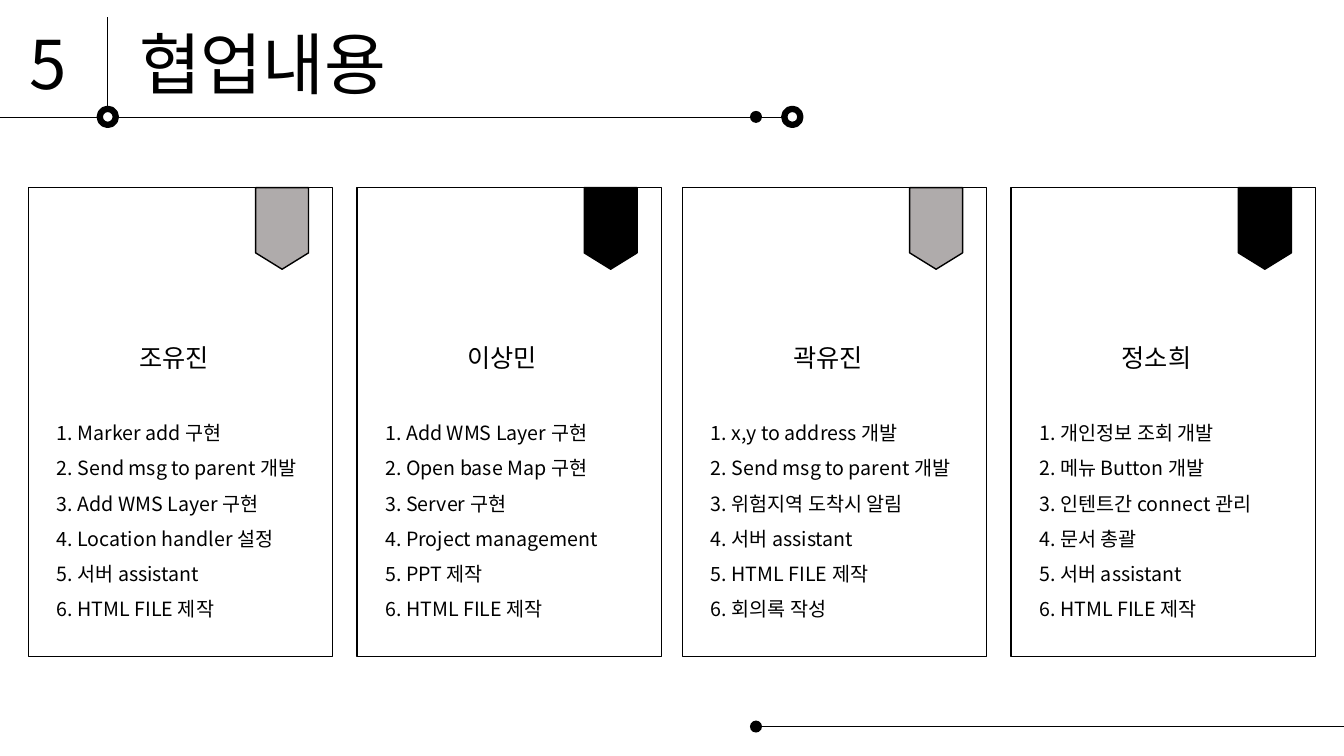
import lxml.etree
import pptx
import pptx.dml.color
import pptx.enum.shapes
import pptx.enum.text
import pptx.oxml.ns
import pptx.util

Pt = pptx.util.Pt
Kind = pptx.enum.shapes.MSO_SHAPE
Align = pptx.enum.text.PP_ALIGN
qn = pptx.oxml.ns.qn

BLACK, WHITE, GREY = "000000", "FFFFFF", "AFABAB"
CARD_TOP, CARD_WIDTH, CARD_HEIGHT = 134, 217.5, 335
HEADER_Y, FOOTER_Y = 83.5, 519
DOT_X, NUMBER_X, END_X = 540, 77, 566

CARDS = [
    (20.2, GREY, "조유진", [
        "Marker add 구현", "Send msg to parent 개발", "Add WMS Layer 구현",
        "Location handler 설정", "서버 assistant", "HTML FILE 제작"]),
    (254.9, BLACK, "이상민", [
        "Add WMS Layer 구현", "Open base Map 구현", "Server 구현",
        "Project management", "PPT 제작", "HTML FILE 제작"]),
    (487.4, GREY, "곽유진", [
        "x,y to address 개발", "Send msg to parent 개발", "위험지역 도착시 알림",
        "서버 assistant", "HTML FILE 제작", "회의록 작성"]),
    (722.2, BLACK, "정소희", [
        "개인정보 조회 개발", "메뉴 Button 개발", "인텐트간 connect 관리",
        "문서 총괄", "서버 assistant", "HTML FILE 제작"]),
]


def color(value):
    return pptx.dml.color.RGBColor.from_string(value)


class Painter:
    """Draws styled elements on the current page."""

    font = "Noto Sans CJK KR"

    def __init__(self, page):
        self.page = page

    def line(self, x1, y1, x2, y2):
        rule = self.page.shapes.add_connector(
            pptx.enum.shapes.MSO_CONNECTOR.STRAIGHT, Pt(x1), Pt(y1), Pt(x2), Pt(y2))
        rule.line.color.rgb = color(BLACK)
        rule.line.width = Pt(0.5)
        lxml.etree.SubElement(rule._element.spPr, qn("a:effectLst"))

    def shape(self, kind, left, top, width, height, fill, weight=1):
        figure = self.page.shapes.add_shape(kind, Pt(left), Pt(top), Pt(width), Pt(height))
        figure.shadow.inherit = False
        figure.fill.solid()
        figure.fill.fore_color.rgb = color(fill)
        if weight:
            figure.line.color.rgb = color(BLACK)
            figure.line.width = Pt(weight)
        else:
            figure.line.fill.background()

    def circle(self, x, y, diameter, fill, weight):
        self.shape(Kind.OVAL, x - diameter / 2, y - diameter / 2, diameter, diameter, fill, weight)

    def dot(self, x, y):
        self.circle(x, y, 8.6, BLACK, 0)

    def ring(self, x, y):
        self.circle(x, y, 11.5, WHITE, 4.5)

    def text(self, left, top, width, height, lines, size, wrap=True,
             align=Align.LEFT, spacing=1.0, holder=None):
        area = Pt(left), Pt(top), Pt(width), Pt(height)
        if holder is None:
            box = self.page.shapes.add_textbox(*area)
        else:
            box = holder
            box.left, box.top, box.width, box.height = area
            self.page.shapes._spTree.append(box._element)
        frame = box.text_frame
        frame.word_wrap = wrap
        frame.auto_size = pptx.enum.text.MSO_AUTO_SIZE.NONE
        frame.vertical_anchor = pptx.enum.text.MSO_ANCHOR.TOP
        for index, words in enumerate(lines):
            para = frame.add_paragraph() if index else frame.paragraphs[0]
            para.alignment = align
            para.line_spacing = spacing
            para.space_before = Pt(0)
            if holder is not None:
                properties = para._p.get_or_add_pPr()
                properties.set("marL", "0")
                properties.set("indent", "0")
                lxml.etree.SubElement(properties, qn("a:buNone"))
            span = para.add_run()
            span.text = words
            span.font.size = Pt(size)
            span.font.bold = False
            span.font.color.rgb = color(BLACK)
            span.font.name = self.font
            lxml.etree.SubElement(span.font._element, qn("a:ea"), typeface=self.font)

    def card(self, left, ribbon, name, tasks, holder):
        self.shape(Kind.RECTANGLE, left, CARD_TOP, CARD_WIDTH, CARD_HEIGHT, WHITE)
        self.shape(Kind.FLOWCHART_OFFPAGE_CONNECTOR, left + 162.4, CARD_TOP, 37.8, 58.3, ribbon)
        self.text(left + 72, 241.2, 73.4, 28.8, [name], 18)
        numbered = [f"{number}. {task}" for number, task in enumerate(tasks, 1)]
        self.text(left + 13.2, 288.7, 190.8, 182, numbered, 14,
                  align=Align.JUSTIFY, spacing=1.5, holder=holder)


def main():
    deck = pptx.Presentation()
    deck.slide_width, deck.slide_height = Pt(960), Pt(540)
    page = deck.slides.add_slide(deck.slide_layouts.get_by_name("Comparison"))
    title, *bodies = list(page.placeholders)
    painter = Painter(page)

    painter.line(0, HEADER_Y, END_X, HEADER_Y)
    painter.line(NUMBER_X, 12.2, NUMBER_X, 77.8)
    painter.dot(DOT_X, HEADER_Y)
    painter.ring(END_X, HEADER_Y)
    painter.ring(NUMBER_X, HEADER_Y)
    painter.text(92.2, 12.2, 208, 65.5, ["협업내용"], 48, wrap=False, holder=title)
    painter.text(13.7, 12.2, 41, 65.5, ["5"], 48, wrap=False)

    for card, body in zip(CARDS, bodies):
        painter.card(*card, body)

    painter.line(DOT_X, FOOTER_Y, 960, FOOTER_Y)
    painter.dot(DOT_X, FOOTER_Y)
    deck.save("out.pptx")


if __name__ == "__main__":
    main()
